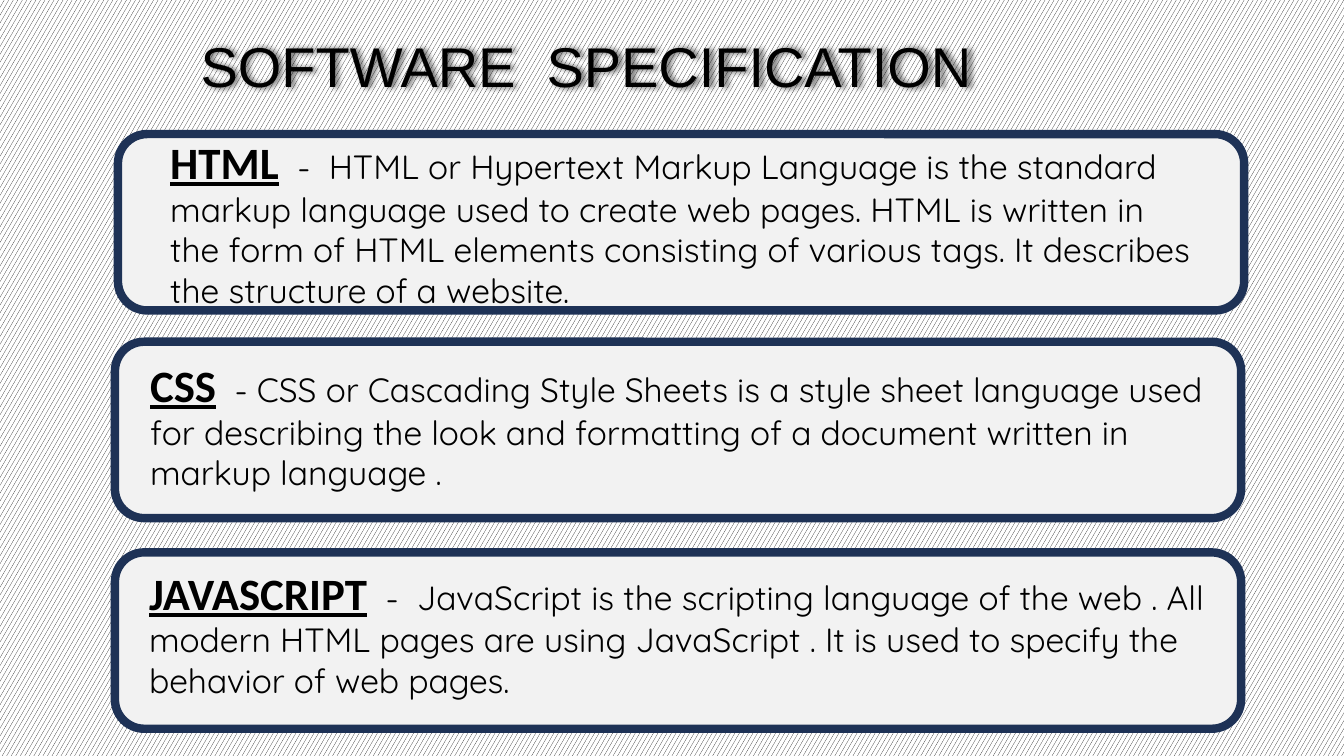
from lxml import etree
from pptx import Presentation
from pptx.dml.color import RGBColor
from pptx.enum.dml import MSO_PATTERN
from pptx.enum.shapes import MSO_SHAPE
from pptx.enum.text import MSO_ANCHOR, MSO_AUTO_SIZE, PP_ALIGN
from pptx.oxml import parse_xml
from pptx.util import Inches, Pt


def rgb(value):
    return RGBColor.from_string(value)


def style_run(r, font, size, bold=False, underline=False):
    r.font.name = font
    r.font.size = Pt(size)
    r.font.bold = bold
    r.font.underline = underline
    r.font.color.rgb = rgb("000000")


TEXT_SHADOW = (
    '<a:effectLst xmlns:a="http://schemas.openxmlformats.org/drawingml/2006/main">'
    '<a:outerShdw blurRad="50800" dist="25400" dir="0" algn="l" rotWithShape="0">'
    '<a:srgbClr val="000000"><a:alpha val="60000"/></a:srgbClr>'
    '</a:outerShdw></a:effectLst>'
)

# card left, card top, text left, text top, text width, text height, term, description
CARDS = [
    (1.17, 1.33, 1.59, 1.29, 10.34, 1.85, "HTML",
     "  -  HTML or Hypertext Markup Language is the standard markup language used to "
     "create web pages. HTML is written in the form of HTML elements consisting of "
     "various tags. It describes the structure of a website."),
    (1.14, 3.39, 1.39, 3.5, 10.96, 1.45, "CSS",
     "  - CSS or Cascading Style Sheets is a style sheet language used for describing "
     "the look and formatting of a document written in markup language ."),
    (1.14, 5.48, 1.38, 5.56, 10.75, 1.45, "JAVASCRIPT",
     "  -  JavaScript is the scripting language of the web . All modern HTML pages are "
     "using JavaScript . It is used to specify the behavior of web pages."),
]

prs = Presentation()
prs.slide_width = Inches(13.33)
prs.slide_height = Inches(7.5)
s = prs.slides.add_slide(prs.slide_layouts[5])

bg = s.background.fill
bg.patterned()
bg.pattern = MSO_PATTERN.LARGE_CONFETTI
bg.fore_color.rgb = rgb("000000")
bg.back_color.rgb = rgb("FFFFFF")

title = s.shapes.title
title.left, title.top = Inches(1.89), Inches(0.26)
title.width, title.height = Inches(9.88), Inches(0.81)
tf = title.text_frame
tf.text = "SOFTWARE  SPECIFICATION"
tf.word_wrap = True
tf.auto_size = MSO_AUTO_SIZE.SHAPE_TO_FIT_TEXT
tf.vertical_anchor = MSO_ANCHOR.TOP
tf.paragraphs[0].alignment = PP_ALIGN.LEFT
style_run(tf.paragraphs[0].runs[0], "Arial", 40)
title.fill.background()
title.line.fill.background()
title._element.spPr.append(parse_xml(TEXT_SHADOW))

for card_x, card_y, x, y, w, h, term, description in CARDS:
    card = s.shapes.add_shape(MSO_SHAPE.FLOWCHART_ALTERNATE_PROCESS,
                              Inches(card_x), Inches(card_y), Inches(11.17), Inches(1.75))
    card.shadow.inherit = False
    card.fill.solid()
    card.fill.fore_color.rgb = rgb("F2F2F2")
    card.line.color.rgb = rgb("1E3256")
    card.line.width = Pt(6)

    tf = s.shapes.add_textbox(Inches(x), Inches(y), Inches(w), Inches(h)).text_frame
    tf.word_wrap = True
    tf.auto_size = MSO_AUTO_SIZE.SHAPE_TO_FIT_TEXT
    p = tf.paragraphs[0]
    p.text = term
    style_run(p.runs[0], "Calibri", 32, bold=True, underline=True)
    r = p.add_run()
    r.text = description
    style_run(r, "Quicksand", 24)

prs.save("out.pptx")
